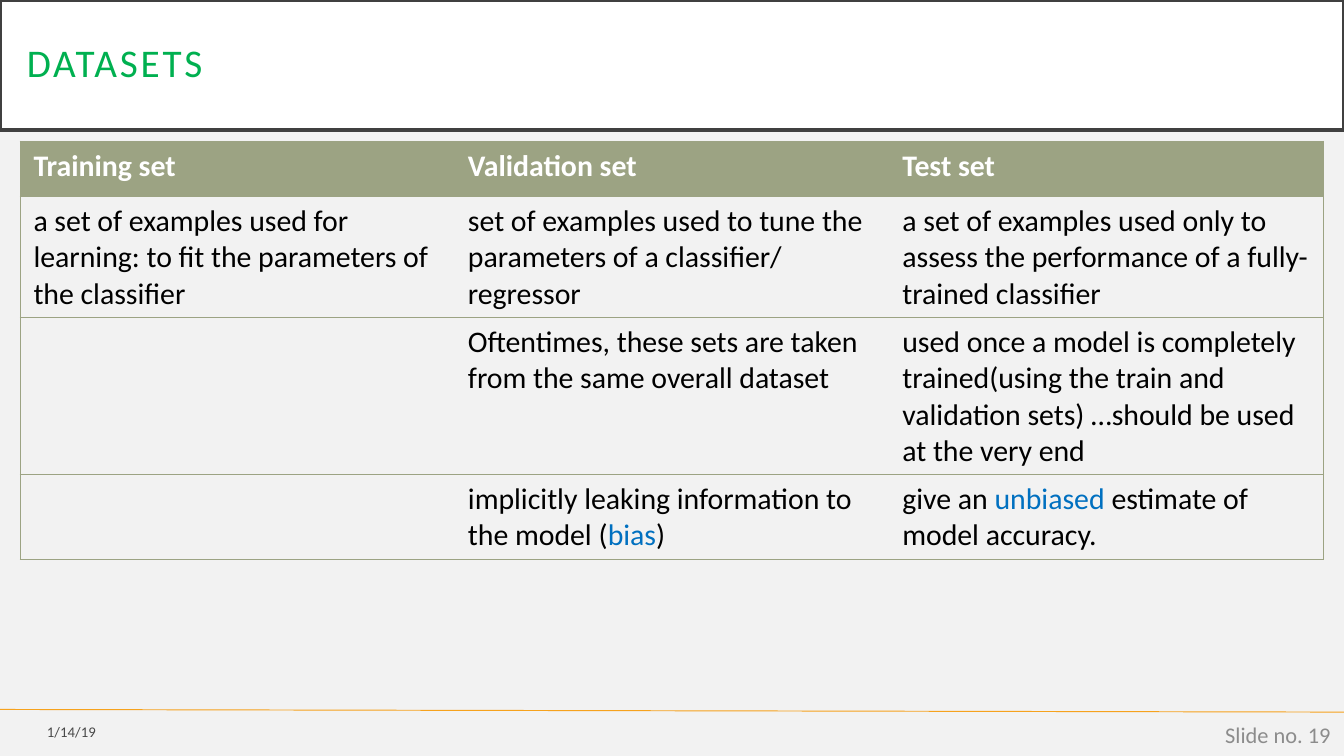
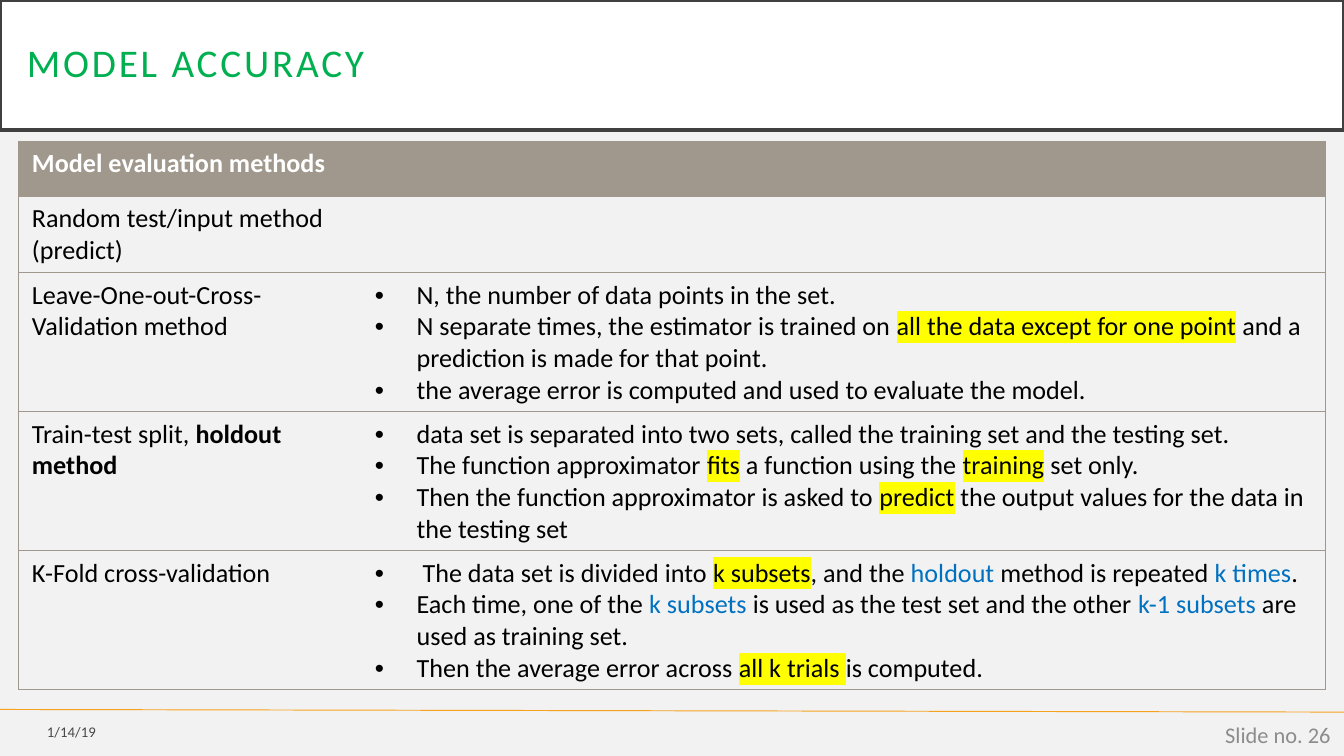
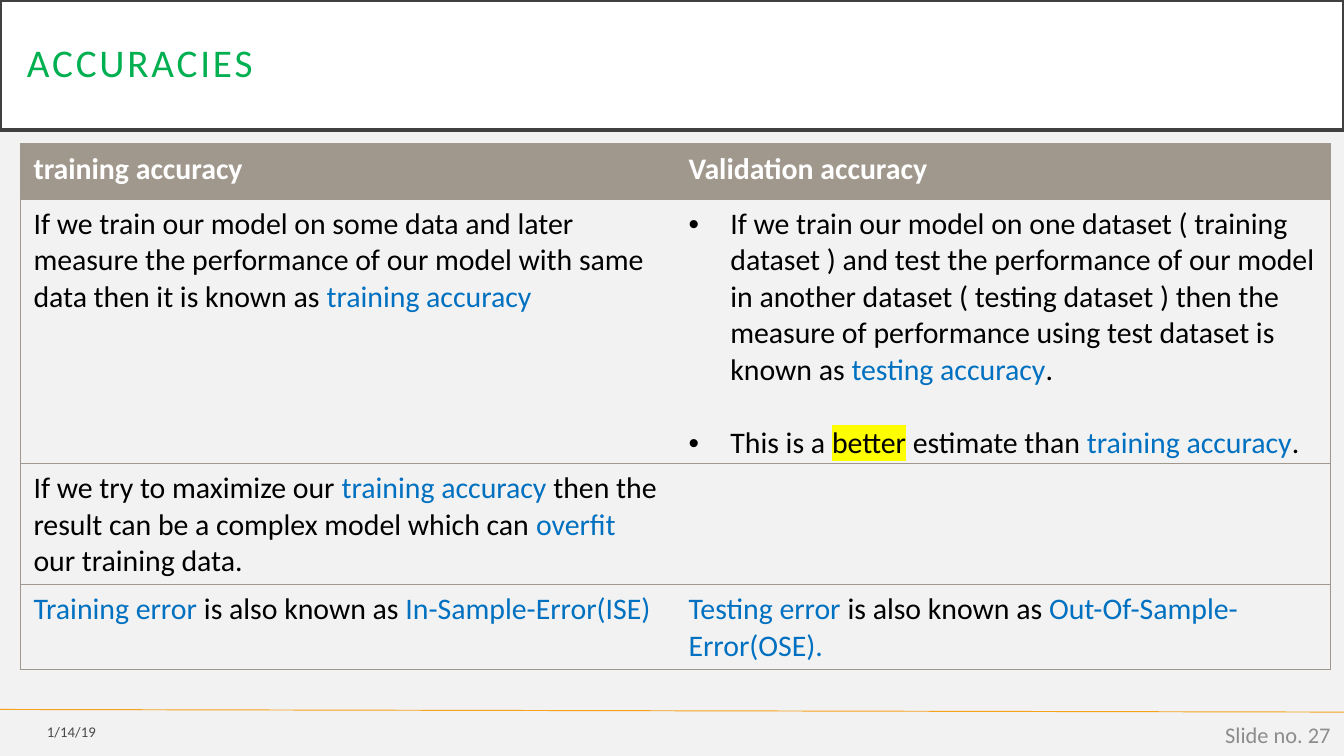
"""Build three slides on data sets, model accuracy and kinds of accuracy."""
from dataclasses import dataclass

from lxml import etree
from pptx import Presentation
from pptx import util as u
from pptx.dml.color import RGBColor
from pptx.enum import shapes, text
from pptx.oxml.ns import qn


@dataclass(frozen=True)
class Theme:
    font: str = "Calibri"
    ground: str = "F2F2F2"
    white: str = "FFFFFF"
    ink: str = "000000"
    frame: str = "404040"
    title: str = "00B050"
    rule: str = "F6A21D"
    number: str = "8C8C8C"
    accent: str = "0070C0"
    marker: str = "FFFF00"
    sage: str = "9CA383"
    taupe: str = "A0988C"
    title_size: float = 21
    date_size: float = 7.9
    number_size: float = 12


theme = Theme()
DATE = "1/14/19"
ROW_HEIGHT = u.Cm(1.04)
INDENT = u.Cm(0.79)

# In cell text, "|" separates spans; a leading ~ is accent, ^ is marked, * is bold.
slides = [
    {
        "title": "DATASETS", "number": 19, "color": theme.sage, "size": 16, "gap": 0,
        "left": 0.38, "top": 2.67, "columns": [8.21, 8.21, 8.21],
        "rows": [
            ["Training set", "Validation set", "Test set"],
            ["a set of examples used for learning: to fit the parameters of the classifier",
             "set of examples used to tune the parameters of a classifier/ regressor",
             "a set of examples used only to assess the performance of a fully-trained classifier"],
            ["",
             "Oftentimes, these sets are taken from the same overall dataset",
             "used once a model is completely trained(using the train and validation sets) "
             "…should be used at the very end"],
            ["",
             "implicitly leaking information to the model (|~bias|)",
             "give an |~unbiased| estimate of model accuracy."],
        ],
    },
    {
        "title": "MODEL ACCURACY", "number": 26, "color": theme.taupe, "size": 14, "gap": 0,
        "left": 0.35, "top": 2.67, "columns": [6.48, 18.22],
        "rows": [
            ["Model evaluation methods", ""],
            ["Random test/input method (predict)", ""],
            ["Leave-One-out-Cross-Validation method",
             ["N, the number of data points in the set.",
              "N separate times, the estimator is trained on |^all the data except for one point"
              "| and a prediction is made for that point.",
              "the average error is computed and used to evaluate the model."]],
            ["Train-test split, |*holdout method",
             ["data set is separated into two sets, called the training set and the testing set.",
              "The function approximator |^fits| a function using the |^training| set only.",
              "Then the function approximator is asked to |^predict"
              "| the output values for the data in the testing set"]],
            ["K-Fold cross-validation",
             [" The data set is divided into |^k subsets|, and the |~holdout"
              "| method is repeated |~k times|.",
              "Each time, one of the |~k subsets |is used as the test set and the other "
              "|~k-1 subsets |are used as training set.",
              "Then the average error across |^all k trials |is computed."]],
        ],
    },
    {
        "title": "ACCURACIES", "number": 27, "color": theme.taupe, "size": 16, "gap": 19.5,
        "left": 0.38, "top": 2.72, "columns": [12.38, 12.38],
        "rows": [
            ["training accuracy", "Validation accuracy"],
            ["If we train our model on some data and later measure the performance of our model "
             "with same data then it is known as |~training accuracy",
             ["If we train our model on one dataset ( training dataset ) and test the performance "
              "of our model in another dataset ( testing dataset ) then the measure of performance "
              "using test dataset is known as |~testing accuracy|.",
              "This is a |^better| estimate than |~training accuracy|."]],
            ["If we try to maximize our |~training accuracy |then the result can be a complex "
             "model which can |~overfit| our training data.", ""],
            ["~Training error |is also known as |~In-Sample-Error(ISE)",
             "~Testing error |is also known as |~Out-Of-Sample-Error(OSE)."],
        ],
    },
]


def write(paragraph, content, size, color, bold=False):
    """Fill a paragraph with marked-up spans in one base style."""
    font = paragraph.font
    font.name, font.size, font.bold = theme.font, u.Pt(size), bold
    font.color.rgb = RGBColor.from_string(color)
    for part in filter(None, content.split("|")):
        span = paragraph.add_run()
        span.text = part.lstrip("~^*")
        if part[0] == "~":
            span.font.color.rgb = RGBColor.from_string(theme.accent)
        elif part[0] == "*":
            span.font.bold = True
        elif part[0] == "^":
            mark = etree.SubElement(span._r.get_or_add_rPr(), qn("a:highlight"))
            etree.SubElement(mark, qn("a:srgbClr"), val=theme.marker)


def draw_border(cell, side, color):
    """Draw one cell edge, or hide it when color is None."""
    edge = etree.SubElement(cell._tc.get_or_add_tcPr(), qn(f"a:ln{side}"), w=str(u.Pt(0.5)))
    if color is None:
        etree.SubElement(edge, qn("a:noFill"))
    else:
        fill = etree.SubElement(edge, qn("a:solidFill"))
        etree.SubElement(fill, qn("a:srgbClr"), val=color)


deck = Presentation()
deck.slide_width, deck.slide_height = u.Cm(25.4), u.Cm(14.29)

for content in slides:
    page = deck.slides.add_slide(deck.slide_layouts[6])
    page.background.fill.solid()
    page.background.fill.fore_color.rgb = RGBColor.from_string(theme.ground)

    rule = page.shapes.add_connector(
        shapes.MSO_CONNECTOR.STRAIGHT, 0, u.Cm(13.41), deck.slide_width, u.Cm(13.46))
    rule.line.color.rgb = RGBColor.from_string(theme.rule)
    rule.line.width = u.Pt(0.5)
    etree.SubElement(rule._element.spPr, qn("a:effectLst"))

    band = page.shapes.add_shape(
        shapes.MSO_SHAPE.RECTANGLE, 0, 0, deck.slide_width, u.Cm(2.46))
    band.shadow.inherit = False
    band.fill.solid()
    band.fill.fore_color.rgb = RGBColor.from_string(theme.white)
    band.line.color.rgb = RGBColor.from_string(theme.frame)
    band.line.width = u.Pt(2.5)
    frame = band.text_frame
    frame.word_wrap = True
    frame.vertical_anchor = text.MSO_ANCHOR.MIDDLE
    frame.margin_left = frame.margin_right = u.Cm(0.51)
    frame.margin_top = frame.margin_bottom = u.Cm(0.51)
    heading = frame.paragraphs[0]
    heading.alignment = text.PP_ALIGN.LEFT
    heading.line_spacing = 0.9
    write(heading, content["title"], theme.title_size, theme.title)
    heading.runs[0]._r.get_or_add_rPr().set("spc", "150")

    for label, left, top, width, height, size, color, opacity in (
        (DATE, 0, 13.49, 2.06, 0.69, theme.date_size, theme.ink, 70),
        (f"Slide no. {content['number']}", 19.69, 13.51, 5.71, 0.76,
         theme.number_size, theme.number, 100),
    ):
        box = page.shapes.add_textbox(u.Cm(left), u.Cm(top), u.Cm(width), u.Cm(height))
        box.text_frame.word_wrap = True
        box.text_frame.vertical_anchor = text.MSO_ANCHOR.MIDDLE
        paragraph = box.text_frame.paragraphs[0]
        paragraph.alignment = text.PP_ALIGN.RIGHT
        write(paragraph, label, size, color)
        if opacity < 100:
            tint = next(paragraph._p.iter(qn("a:srgbClr")))
            etree.SubElement(tint, qn("a:alpha"), val=str(opacity * 1000))

    rows, columns = content["rows"], content["columns"]
    table = page.shapes.add_table(
        len(rows), len(columns), u.Cm(content["left"]), u.Cm(content["top"]),
        u.Cm(sum(columns)), ROW_HEIGHT * len(rows)).table
    table.horz_banding = False
    for column, width in zip(table.columns, columns):
        column.width = u.Cm(width)
    for row_index, row in enumerate(rows):
        table.rows[row_index].height = ROW_HEIGHT
        is_header = row_index == 0
        for column_index, entry in enumerate(row):
            cell = table.cell(row_index, column_index)
            draw_border(cell, "L", content["color"] if column_index == 0 else None)
            draw_border(cell, "R", content["color"] if column_index == len(row) - 1 else None)
            draw_border(cell, "T", content["color"])
            draw_border(cell, "B", content["color"])
            if is_header:
                cell.fill.solid()
                cell.fill.fore_color.rgb = RGBColor.from_string(content["color"])
            else:
                cell.fill.background()
            bulleted = isinstance(entry, list)
            for item_index, item in enumerate(entry if bulleted else [entry]):
                frame = cell.text_frame
                paragraph = frame.add_paragraph() if item_index else frame.paragraphs[0]
                if bulleted:
                    properties = paragraph._p.get_or_add_pPr()
                    properties.set("marL", str(INDENT))
                    properties.set("indent", str(-INDENT))
                    etree.SubElement(properties, qn("a:buFont"), typeface="Arial")
                    etree.SubElement(properties, qn("a:buChar"), char="•")
                if item_index and content["gap"]:
                    paragraph.space_before = u.Pt(content["gap"])
                write(paragraph, item, content["size"],
                      theme.white if is_header else theme.ink, is_header)

deck.save("out.pptx")
